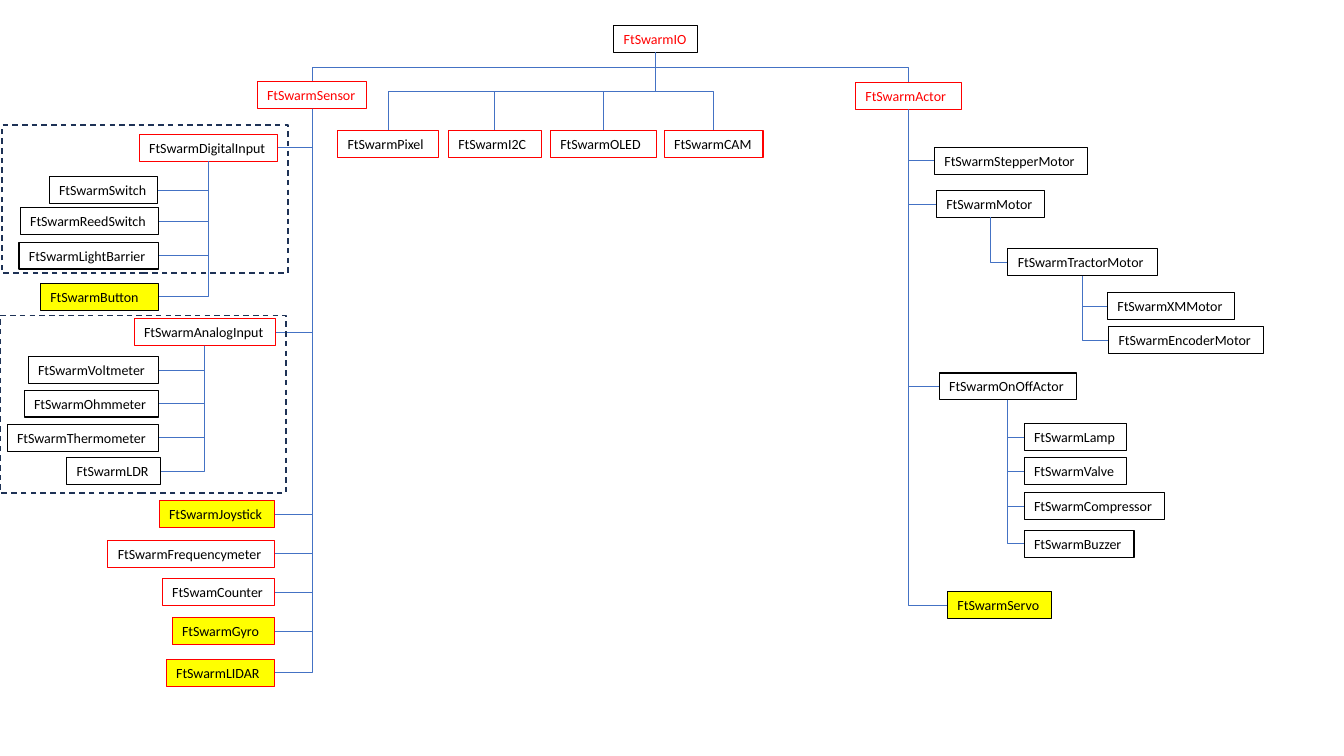
from collections import namedtuple

from lxml import etree
from pptx import Presentation
from pptx import util as u
from pptx.dml.color import RGBColor
from pptx.enum import dml, shapes, text
from pptx.oxml import ns

COLORS = {"black": "000000", "red": "FF0000", "yellow": "FFFF00",
          "branch": "4472C4", "frame": "1E3256"}
BOX_HEIGHT = 0.68

# Positions are in centimetres
ClassBox = namedtuple("ClassBox", "name left top width line fill font",
                      defaults=("black", None, "black"))

ROOT = ClassBox("FtSwarmIO", 15.47, 0.64, 2.11, font="red")

# Parent class -> its subclasses
SUBCLASSES = {
    "FtSwarmIO": [
        ClassBox("FtSwarmSensor", 6.48, 2.06, 2.77, "red", font="red"),
        ClassBox("FtSwarmActor", 21.56, 2.08, 2.68, "red", font="red"),
        ClassBox("FtSwarmPixel", 8.51, 3.28, 2.54, "red"),
        ClassBox("FtSwarmI2C", 11.3, 3.28, 2.34, "red"),
        ClassBox("FtSwarmOLED", 13.87, 3.28, 2.67, "red"),
        ClassBox("FtSwarmCAM", 16.74, 3.28, 2.49, "red"),
    ],
    "FtSwarmSensor": [
        ClassBox("FtSwarmDigitalInput", 3.51, 3.38, 3.48, "red"),
        ClassBox("FtSwarmAnalogInput", 3.38, 8.03, 3.56, "red"),
        ClassBox("FtSwarmJoystick", 4.01, 12.62, 2.92, "red", "yellow"),
        ClassBox("FtSwarmFrequencymeter", 2.72, 13.61, 4.19, "red"),
        ClassBox("FtSwamCounter", 4.09, 14.58, 2.84, "red"),
        ClassBox("FtSwarmGyro", 4.34, 15.57, 2.57, "red", "yellow"),
        ClassBox("FtSwarmLIDAR", 4.19, 16.61, 2.72, "red", "yellow"),
    ],
    "FtSwarmDigitalInput": [
        ClassBox("FtSwarmSwitch", 1.24, 4.45, 2.74),
        ClassBox("FtSwarmReedSwitch", 0.51, 5.23, 3.48),
        ClassBox("FtSwarmLightBarrier", 0.48, 6.1, 3.51),
        ClassBox("FtSwarmButton", 1.02, 7.14, 2.97, fill="yellow"),
    ],
    "FtSwarmAnalogInput": [
        ClassBox("FtSwarmVoltmeter", 0.71, 8.99, 3.28),
        ClassBox("FtSwarmOhmmeter", 0.61, 9.83, 3.38),
        ClassBox("FtSwarmThermometer", 0.18, 10.69, 3.81),
        ClassBox("FtSwarmLDR", 1.68, 11.53, 2.36),
    ],
    "FtSwarmActor": [
        ClassBox("FtSwarmStepperMotor", 23.55, 3.71, 3.86),
        ClassBox("FtSwarmMotor", 23.6, 4.8, 2.72),
        ClassBox("FtSwarmOnOffActor", 23.67, 9.4, 3.45),
        ClassBox("FtSwarmServo", 23.88, 14.91, 2.62, fill="yellow"),
    ],
    "FtSwarmMotor": [ClassBox("FtSwarmTractorMotor", 25.4, 6.27, 3.76)],
    "FtSwarmTractorMotor": [
        ClassBox("FtSwarmXMMotor", 27.91, 7.37, 3.2),
        ClassBox("FtSwarmEncoderMotor", 27.94, 8.23, 3.91),
    ],
    "FtSwarmOnOffActor": [
        ClassBox("FtSwarmLamp", 25.81, 10.67, 2.59),
        ClassBox("FtSwarmValve", 25.81, 11.53, 2.59),
        ClassBox("FtSwarmCompressor", 25.81, 12.42, 3.53),
        ClassBox("FtSwarmBuzzer", 25.81, 13.36, 2.77),
    ],
}

# Dashed frames around the input groups: left, top, width, height
INPUT_FRAMES = [(0.05, 3.15, 7.21, 3.73), (0, 7.95, 7.21, 4.47)]


def rgb(name):
    return RGBColor.from_string(COLORS[name])


def set_line(shape, color, points):
    shape.line.color.rgb = rgb(color)
    shape.line.width = u.Pt(points)


def add_class_box(slide, box):
    shape = slide.shapes.add_textbox(u.Cm(box.left), u.Cm(box.top),
                                     u.Cm(box.width), u.Cm(BOX_HEIGHT))
    set_line(shape, box.line, 0.75)
    if box.fill:
        shape.fill.solid()
        shape.fill.fore_color.rgb = rgb(box.fill)
    frame = shape.text_frame
    frame.word_wrap = False
    frame.auto_size = text.MSO_AUTO_SIZE.SHAPE_TO_FIT_TEXT
    run = frame.paragraphs[0].add_run()
    run.text = box.name
    run.font.name = "Calibri"
    run.font.size = u.Pt(10)
    run.font.color.rgb = rgb(box.font)


def add_branch(slide, start, end, preset):
    """Draw an elbow that leaves start downwards, as a turned connector."""
    (x1, y1), (x2, y2) = start, end
    across, down = abs(x2 - x1), y2 - y1
    left = (x1 + x2 - down) / 2
    top = (y1 + y2 - across) / 2
    ends = [left, left + down]
    turn = 90
    if x2 > x1:
        ends.reverse()
        turn = 270
    connector = slide.shapes.add_connector(
        shapes.MSO_CONNECTOR.ELBOW, u.Cm(ends[0]), u.Cm(top),
        u.Cm(ends[1]), u.Cm(top + across))
    set_line(connector, "branch", 0.5)
    properties = connector._element.spPr
    properties.find(ns.qn("a:xfrm")).set("rot", str(turn * 60000))
    properties.find(ns.qn("a:prstGeom")).set("prst", preset)
    etree.SubElement(properties, ns.qn("a:effectLst"))


def connect(slide, parent, child):
    start = (parent.left + parent.width / 2, parent.top + BOX_HEIGHT)
    if parent is ROOT:
        end = (child.left + child.width / 2, child.top)
        add_branch(slide, start, end, "bentConnector3")
    else:
        on_right = child.left > start[0]
        side = child.left if on_right else child.left + child.width
        end = (side, child.top + BOX_HEIGHT / 2)
        add_branch(slide, start, end, "bentConnector2")


def add_tree(slide, parent):
    add_class_box(slide, parent)
    for child in SUBCLASSES.get(parent.name, []):
        connect(slide, parent, child)
        add_tree(slide, child)


def add_dashed_frame(slide, bounds):
    shape = slide.shapes.add_shape(shapes.MSO_SHAPE.RECTANGLE,
                                   *(u.Cm(length) for length in bounds))
    shape.shadow.inherit = False
    shape.fill.background()
    set_line(shape, "frame", 1)
    shape.line.dash_style = dml.MSO_LINE.DASH


def main():
    presentation = Presentation()
    presentation.slide_width = u.Cm(33.87)
    presentation.slide_height = u.Cm(19.05)
    slide = presentation.slides.add_slide(presentation.slide_layouts[6])

    # Class hierarchy
    add_tree(slide, ROOT)

    # Input groups
    for bounds in INPUT_FRAMES:
        add_dashed_frame(slide, bounds)

    presentation.save("out.pptx")


if __name__ == "__main__":
    main()
